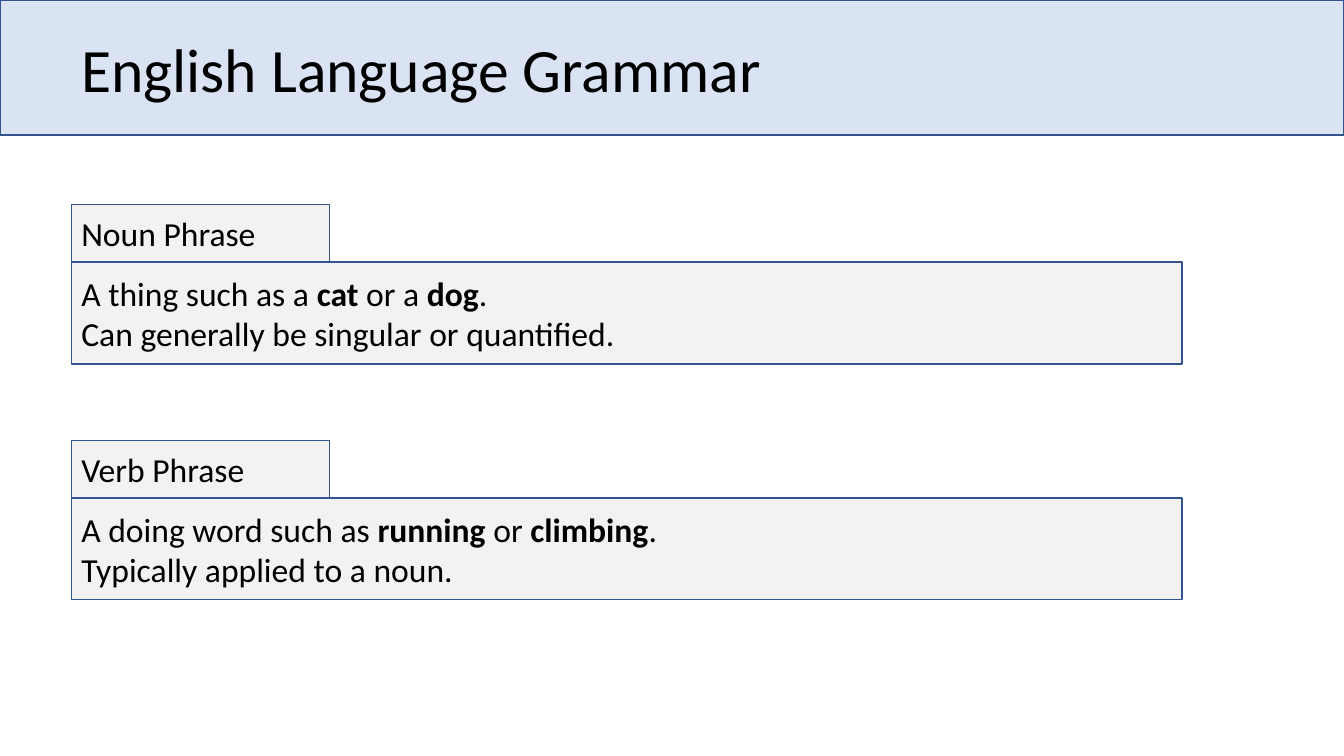
from dataclasses import dataclass

from pptx import Presentation
from pptx.dml.color import RGBColor
from pptx.enum.shapes import MSO_SHAPE
from pptx.enum.text import MSO_ANCHOR, PP_ALIGN
from pptx.util import Pt


@dataclass(frozen=True)
class Theme:
    font: str = "Calibri"
    title_size: int = 44
    body_size: int = 24
    text: RGBColor = RGBColor(0x00, 0x00, 0x00)
    banner: RGBColor = RGBColor(0xDA, 0xE3, 0xF3)
    panel: RGBColor = RGBColor(0xF2, 0xF2, 0xF2)
    outline: RGBColor = RGBColor(0x32, 0x54, 0x91)
    line_width: int = 1


class SlideBuilder:
    def __init__(self, slide, theme):
        self.slide = slide
        self.theme = theme

    def add_lines(self, shape, lines, size):
        """Each line is a list of pieces; every second piece is bold."""
        text_frame = shape.text_frame
        text_frame.word_wrap = True
        text_frame.vertical_anchor = MSO_ANCHOR.MIDDLE
        for index, pieces in enumerate(lines):
            paragraph = text_frame.paragraphs[0] if index == 0 else text_frame.add_paragraph()
            paragraph.alignment = PP_ALIGN.LEFT
            for position, piece in enumerate(pieces):
                run = paragraph.add_run()
                run.text = piece
                run.font.name = self.theme.font
                run.font.size = Pt(size)
                run.font.bold = position % 2 == 1
                run.font.color.rgb = self.theme.text

    def box(self, shapes, left, top, width, height, fill):
        shape = shapes.add_shape(MSO_SHAPE.RECTANGLE, Pt(left), Pt(top), Pt(width), Pt(height))
        shape.shadow.inherit = False
        shape.fill.solid()
        shape.fill.fore_color.rgb = fill
        shape.line.color.rgb = self.theme.outline
        shape.line.width = Pt(self.theme.line_width)
        return shape

    def banner(self, width, height):
        self.box(self.slide.shapes, 0, 0, width, height, self.theme.banner)

    def title(self, text, left, top, width, height):
        shape = self.slide.shapes.add_textbox(Pt(left), Pt(top), Pt(width), Pt(height))
        self.add_lines(shape, [[text]], self.theme.title_size)
        shape.text_frame.paragraphs[0].line_spacing = 0.9

    def definition(self, term, lines, left, top):
        """A wide panel with a tab for the term on top of it."""
        tab_height = 41.04
        shapes = self.slide.shapes.add_group_shape().shapes
        panel = self.box(shapes, left, top + tab_height, 793.44, 72.72, self.theme.panel)
        self.add_lines(panel, lines, self.theme.body_size)
        tab = self.box(shapes, left, top, 184.32, tab_height, self.theme.panel)
        self.add_lines(tab, [[term]], self.theme.body_size)


DEFINITIONS = [
    ("Noun Phrase", [
        ["A thing such as a ", "cat", " or a ", "dog", "."],
        ["Can generally be singular or quantified."],
    ]),
    ("Verb Phrase", [
        ["A doing word such as ", "running", " or ", "climbing", "."],
        ["Typically applied to a noun."],
    ]),
]


def main():
    slide_width, slide_height = 960, 540
    left_margin = 51
    first_top, pitch = 146.16, 168.48

    presentation = Presentation()
    presentation.slide_width = Pt(slide_width)
    presentation.slide_height = Pt(slide_height)
    slide = presentation.slides.add_slide(presentation.slide_layouts[6])
    builder = SlideBuilder(slide, Theme())

    # Heading
    builder.banner(slide_width, 96.48)
    builder.title("English Language Grammar", left_margin, -0.72, 828, 104.4)

    # Definitions
    for index, (term, lines) in enumerate(DEFINITIONS):
        builder.definition(term, lines, left_margin, first_top + index * pitch)

    presentation.save("out.pptx")


if __name__ == "__main__":
    main()
